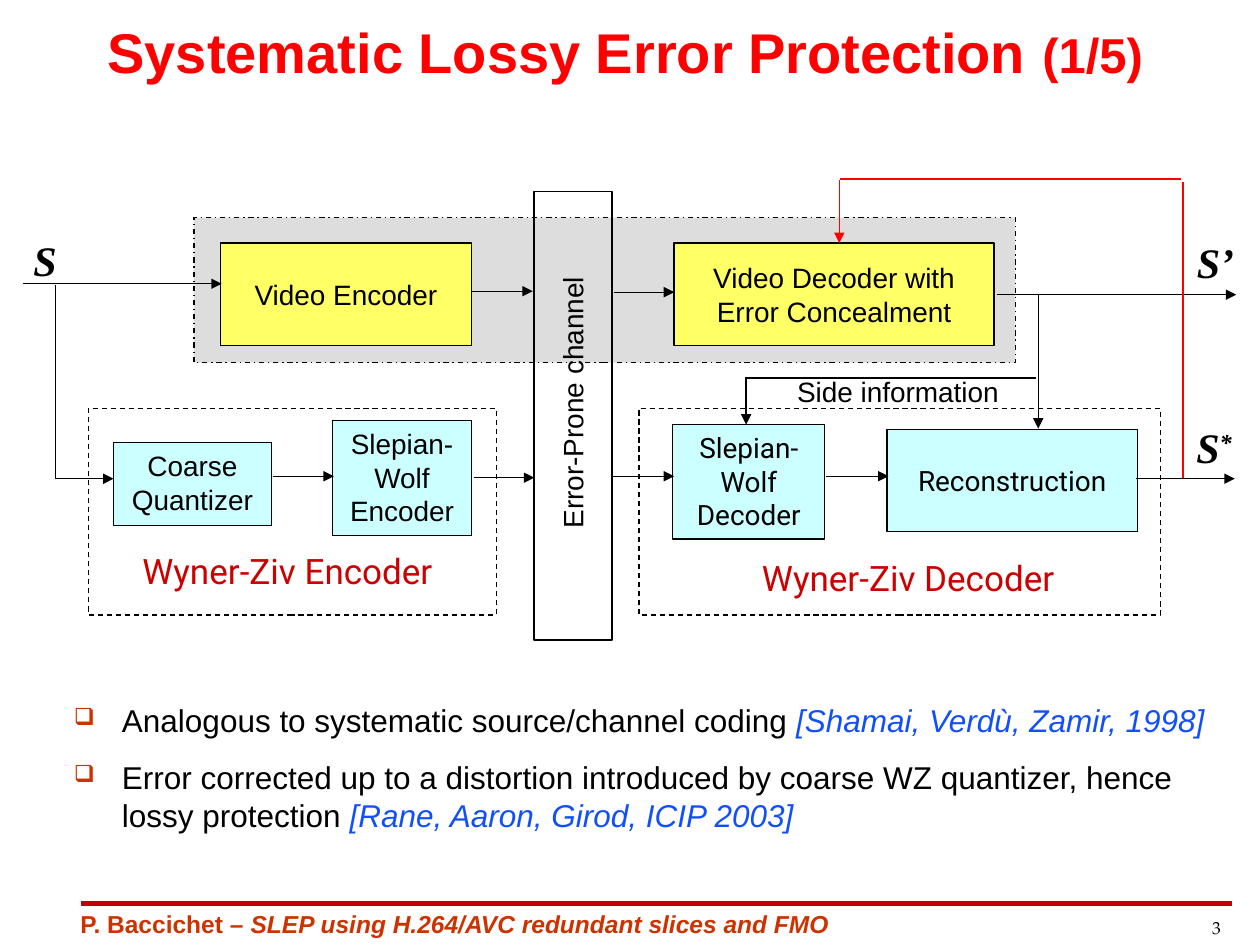
import lxml.etree
import pptx
import pptx.dml.color
import pptx.enum.dml
import pptx.enum.shapes
import pptx.enum.text
import pptx.oxml
import pptx.oxml.ns
import pptx.util

Cm = pptx.util.Cm
RGBColor = pptx.dml.color.RGBColor
ALIGN = pptx.enum.text.PP_ALIGN
ANCHOR = pptx.enum.text.MSO_ANCHOR
DASH = pptx.enum.dml.MSO_LINE

BLACK = RGBColor(0x00, 0x00, 0x00)
RED = RGBColor(0xFF, 0x00, 0x00)
DARK_RED = RGBColor(0xCC, 0x00, 0x00)
RULE_RED = RGBColor(0xBE, 0x02, 0x0B)
RUST = RGBColor(0xCC, 0x33, 0x00)
BLUE = RGBColor(0x11, 0x4F, 0xFB)
GRAY = RGBColor(0xDD, 0xDD, 0xDD)
YELLOW = RGBColor(0xFF, 0xFF, 0x66)
CYAN = RGBColor(0xCC, 0xFF, 0xFF)


def add_child(parent, tag, **attributes):
    """Append a DrawingML element with the given attributes."""
    child = lxml.etree.SubElement(parent, pptx.oxml.ns.qn(tag))
    for name, value in attributes.items():
        child.set(name, value)
    return child


def write_runs(paragraph, runs, size, color, font="Arial", bold=False, italic=False):
    """Write (text, overrides) runs that share one base format."""
    for text, overrides in runs:
        run = paragraph.add_run()
        run.text = text
        run.font.name = font
        run.font.size = pptx.util.Pt(overrides.get("size", size))
        run.font.bold = bold
        run.font.italic = overrides.get("italic", italic)
        run.font.color.rgb = overrides.get("color", color)
        if "baseline" in overrides:
            run.font._element.set("baseline", overrides["baseline"])


def add_label(slide, box, runs, size, color=BLACK, align=ALIGN.LEFT, wrap=True, **style):
    """Add a text box holding one formatted paragraph."""
    label = slide.shapes.add_textbox(*map(Cm, box))
    label.text_frame.word_wrap = wrap
    paragraph = label.text_frame.paragraphs[0]
    paragraph.alignment = align
    write_runs(paragraph, runs, size, color, **style)
    return label


def add_signal(slide, box, runs):
    """Add the name of an input or output signal."""
    add_label(slide, box, runs, 24, align=ALIGN.CENTER,
              font="Times New Roman", bold=True, italic=True)


def add_frame(slide, box, fill=None, width=0.75, dash=None):
    """Add an outlined rectangle, unfilled unless a fill is given."""
    frame = slide.shapes.add_shape(pptx.enum.shapes.MSO_SHAPE.RECTANGLE, *map(Cm, box))
    frame.shadow.inherit = False
    if fill is None:
        frame.fill.background()
    else:
        frame.fill.solid()
        frame.fill.fore_color.rgb = fill
    frame.line.color.rgb = BLACK
    frame.line.width = pptx.util.Pt(width)
    if dash is not None:
        frame.line.dash_style = dash
    return frame


def add_block(slide, box, text, fill, font="Arial", anchor=ANCHOR.MIDDLE, side_inset=0.25):
    """Add a filled processing block with centred text."""
    text_frame = add_frame(slide, box, fill).text_frame
    text_frame.word_wrap = True
    text_frame.vertical_anchor = anchor
    text_frame.margin_left = text_frame.margin_right = Cm(side_inset)
    paragraph = text_frame.paragraphs[0]
    paragraph.alignment = ALIGN.CENTER
    write_runs(paragraph, [(text, {})], 16, BLACK, font)


def add_line(slide, points, color=BLACK, width=0.75, arrow=False):
    """Add a straight line, with an arrowhead at its end if asked."""
    line = slide.shapes.add_connector(
        pptx.enum.shapes.MSO_CONNECTOR.STRAIGHT, *map(Cm, points))
    line.line.color.rgb = color
    line.line.width = pptx.util.Pt(width)
    if arrow:
        add_child(line.line._get_or_add_ln(), "a:tailEnd", type="triangle")
    add_child(line._element.spPr, "a:effectLst")


def add_bullet(slide, box, text, citation):
    """Add a bulleted statement followed by its citation."""
    label = add_label(slide, box, [], 18)
    paragraph = label.text_frame.paragraphs[0]
    properties = paragraph._p.get_or_add_pPr()
    properties.set("marL", str(Cm(0.97)))
    properties.set("indent", str(Cm(-0.97)))
    add_child(add_child(properties, "a:buClr"), "a:srgbClr", val=str(RUST))
    add_child(properties, "a:buSzPct", val="75000")
    add_child(properties, "a:buChar", char="❑")
    write_runs(paragraph, [(text, {}), (citation, {"color": BLUE, "italic": True})], 18, BLACK)


def add_title(slide):
    """Place and format the title placeholder."""
    title = slide.shapes.title
    title.left, title.top, title.width, title.height = map(Cm, (0.69, 0.15, 23.83, 1.68))
    title.text_frame.vertical_anchor = ANCHOR.BOTTOM
    title.text_frame.auto_size = pptx.enum.text.MSO_AUTO_SIZE.NONE
    title.text_frame.word_wrap = True
    paragraph = title.text_frame.paragraphs[0]
    paragraph.alignment = ALIGN.CENTER
    runs = [("Systematic Lossy Error Protection ", {}), ("(1/5)", {"size": 28})]
    write_runs(paragraph, runs, 32, RED, bold=True)


def add_footer(slide):
    """Add the footer rule, the talk name and the page number."""
    runs = [("P. Baccichet – ", {}),
            ("SLEP using H.264/AVC redundant slices and FMO", {"italic": True})]
    add_label(slide, (1.37, 18.21, 19.46, 0.84), runs, 14, RUST, bold=True)
    add_label(slide, (23.95, 18.36, 0.91, 0.74), [("3", {})], 10,
              align=ALIGN.RIGHT, font="TeX Gyre Pagella")
    add_line(slide, (1.63, 18.21, 24.84, 18.21), RULE_RED, 3)


def add_blocks(slide):
    """Add the frames and processing blocks of the codec diagram."""
    add_frame(slide, (3.91, 4.39, 16.56, 2.92), GRAY, dash=DASH.DASH_DOT)
    add_frame(slide, (10.77, 3.86, 1.57, 9.04), width=1)
    for left, width in ((1.78, 8.23), (12.88, 10.52)):
        add_frame(slide, (left, 8.23, width, 4.17), dash=DASH.DASH)
    add_block(slide, (4.45, 4.9, 5.05, 2.06), "Video Encoder", YELLOW)
    add_block(slide, (13.59, 4.9, 6.45, 2.06), "Video Decoder with Error Concealment", YELLOW)
    add_block(slide, (2.29, 8.92, 3.18, 1.68), "Coarse Quantizer", CYAN,
              anchor=ANCHOR.TOP, side_inset=0)
    add_block(slide, (6.71, 8.48, 2.79, 2.31), "Slepian-Wolf Encoder", CYAN,
              anchor=ANCHOR.TOP, side_inset=0)
    add_block(slide, (13.56, 8.56, 3.07, 2.31), "Slepian-Wolf Decoder", CYAN,
              "Roboto", ANCHOR.TOP)
    add_block(slide, (17.88, 8.66, 5.05, 2.06), "Reconstruction", CYAN, "Roboto")


def add_labels(slide):
    """Add the signal names and the captions of the diagram."""
    add_signal(slide, (0.25, 4.6, 1.32, 0.97), [("S", {})])
    add_signal(slide, (23.83, 4.65, 1.35, 0.97), [("S’", {})])
    add_signal(slide, (23.8, 8.38, 1.35, 0.97), [("S", {}), ("*", {"baseline": "30000"})])
    channel = add_label(slide, (8.64, 7.53, 5.8, 0.94), [("Error-Prone channel", {})], 16)
    channel.rotation = 270
    add_label(slide, (15.82, 7.42, 4.57, 0.94), [("Side information", {})], 16, wrap=False)
    add_label(slide, (2.62, 10.95, 6.73, 1.12), [("Wyner-Ziv Encoder", {})], 20,
              DARK_RED, wrap=False, font="Roboto")
    add_label(slide, (15.11, 11.1, 6.6, 1.96), [("Wyner-Ziv Decoder", {})], 20,
              DARK_RED, font="Roboto")


def add_flows(slide):
    """Add the signal paths between the blocks."""
    for start, end, y in (
        (0.46, 4.47, 5.72), (9.5, 10.74, 5.87), (12.37, 13.59, 5.89), (20.09, 24.92, 5.94),
        (1.12, 2.29, 9.65), (5.51, 6.73, 9.6), (9.55, 10.77, 9.63), (12.34, 13.59, 9.6),
        (16.66, 17.91, 9.6), (22.91, 24.89, 9.65),
    ):
        add_line(slide, (start, y, end, y), arrow=True)
    add_line(slide, (1.12, 9.65, 1.12, 5.74))
    add_line(slide, (20.93, 5.94, 20.93, 8.64), arrow=True)
    add_line(slide, (15.04, 7.62, 20.88, 7.62))
    add_line(slide, (15.04, 7.59, 15.04, 8.56), arrow=True)
    add_line(slide, (23.85, 9.63, 23.85, 3.66), RED)
    add_line(slide, (23.8, 3.61, 16.94, 3.61), RED)
    add_line(slide, (16.92, 3.63, 16.92, 4.9), RED, arrow=True)


def main():
    """Build the slide and save the presentation."""
    presentation = pptx.Presentation()
    presentation.slide_width, presentation.slide_height = Cm(25.4), Cm(19.05)
    slide = presentation.slides.add_slide(presentation.slide_layouts[5])
    add_footer(slide)
    add_title(slide)
    add_blocks(slide)
    add_labels(slide)
    add_flows(slide)
    add_bullet(slide, (1.24, 14, 23.34, 3.3),
               "Analogous to systematic source/channel coding ", "[Shamai, Verdù, Zamir, 1998]")
    add_bullet(slide, (1.24, 15.16, 23.34, 2.21),
               "Error corrected up to a distortion introduced by coarse WZ quantizer, "
               "hence lossy protection ", "[Rane, Aaron, Girod, ICIP 2003]")
    presentation.save("out.pptx")


if __name__ == "__main__":
    main()
